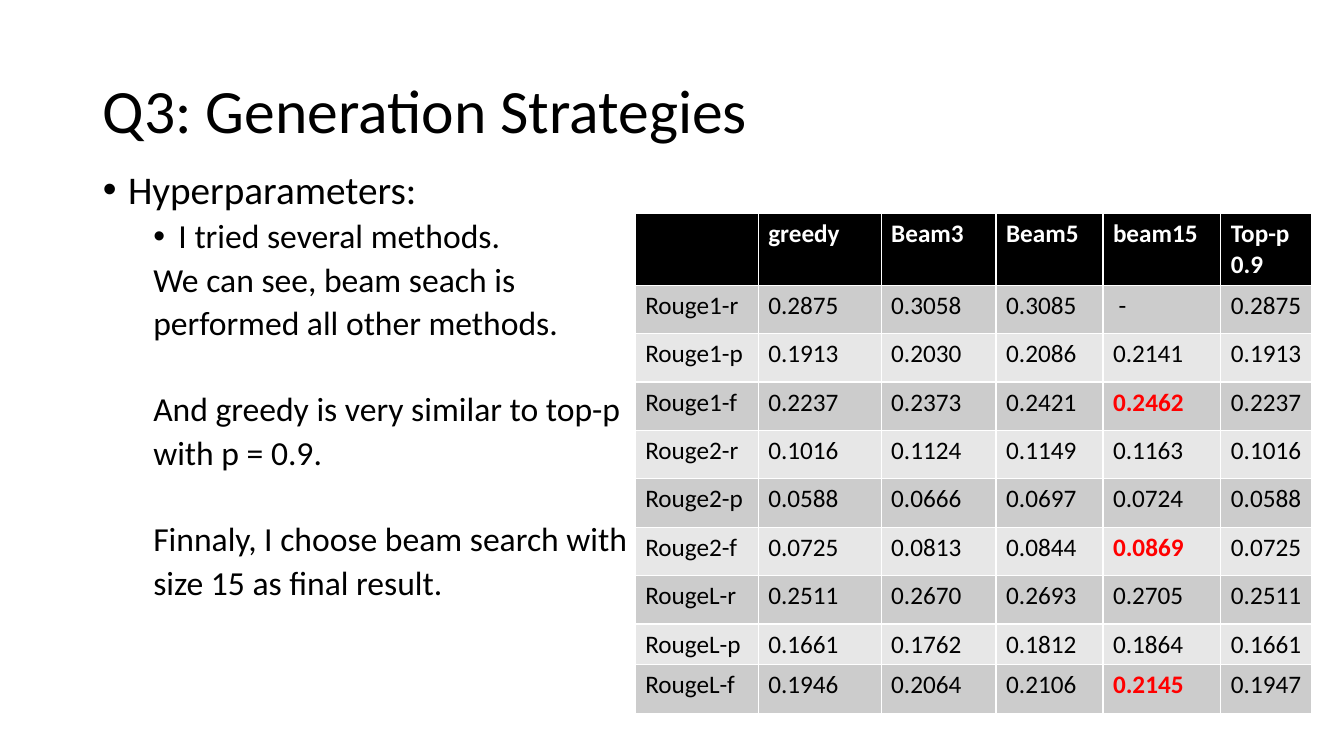
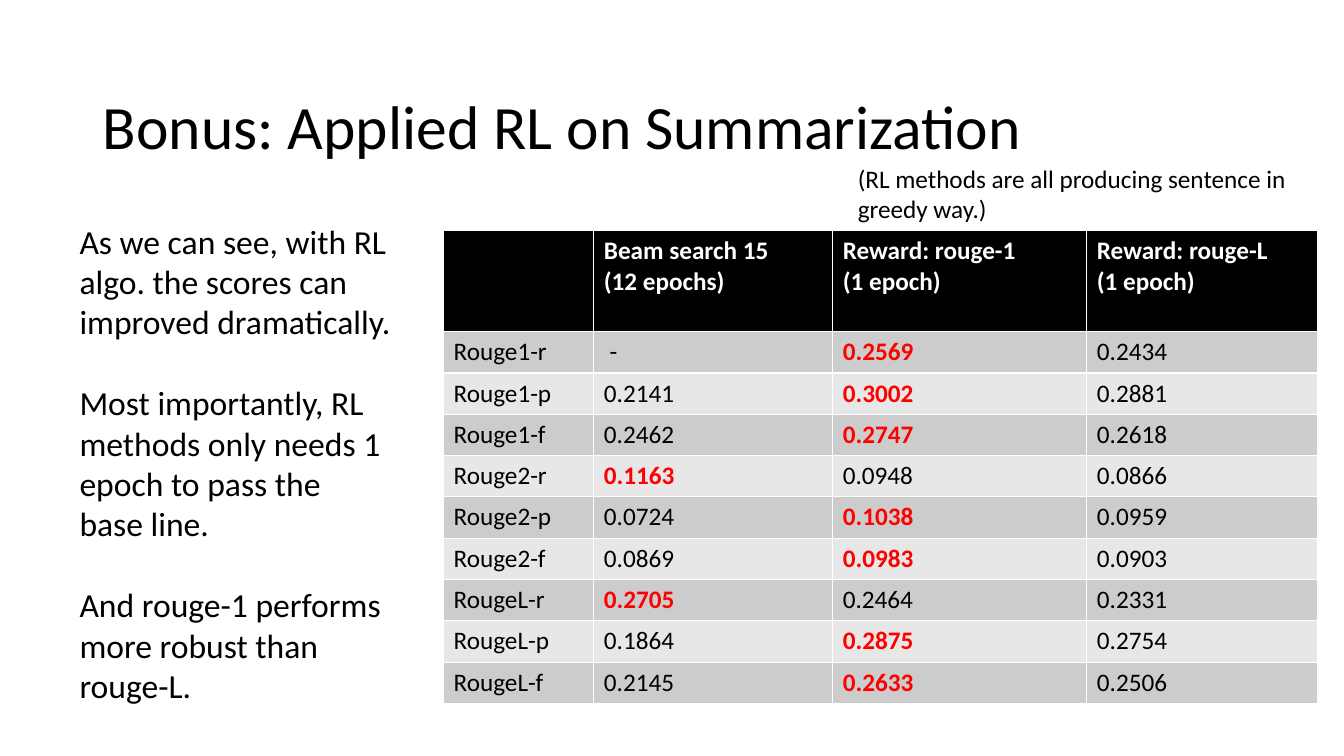
"""Build two slides comparing summarization scores across generation strategies."""
import lxml.etree
import pptx
import pptx.dml.color
import pptx.enum.text
import pptx.oxml.ns
import pptx.util

Inches = pptx.util.Inches
Pt = pptx.util.Pt
RGBColor = pptx.dml.color.RGBColor

BLACK = RGBColor(0x00, 0x00, 0x00)
WHITE = RGBColor(0xFF, 0xFF, 0xFF)
RED = RGBColor(0xFF, 0x00, 0x00)
BAND_FILLS = (RGBColor(0xCC, 0xCC, 0xCC), RGBColor(0xE7, 0xE7, 0xE7))
FONT = "Calibri"

METRICS = [f"Rouge{kind}-{measure}" for kind in "12L" for measure in "rpf"]
GREEDY = ["0.2875", "0.1913", "0.2237", "0.1016", "0.0588", "0.0725", "0.2511", "0.1661", "0.1946"]
BEAM_3 = ["0.3058", "0.2030", "0.2373", "0.1124", "0.0666", "0.0813", "0.2670", "0.1762", "0.2064"]
BEAM_5 = ["0.3085", "0.2086", "0.2421", "0.1149", "0.0697", "0.0844", "0.2693", "0.1812", "0.2106"]
BEAM_15 = [" -", "0.2141", "0.2462", "0.1163", "0.0724", "0.0869", "0.2705", "0.1864", "0.2145"]
TOP_P = ["0.2875", "0.1913", "0.2237", "0.1016", "0.0588", "0.0725", "0.2511", "0.1661", "0.1947"]
REWARD_1 = ["0.2569", "0.3002", "0.2747", "0.0948", "0.1038", "0.0983", "0.2464", "0.2875", "0.2633"]
REWARD_L = ["0.2434", "0.2881", "0.2618", "0.0866", "0.0959", "0.0903", "0.2331", "0.2754", "0.2506"]

STRATEGIES = {
    "": METRICS,
    "greedy": GREEDY,
    "Beam3": BEAM_3,
    "Beam5": BEAM_5,
    "beam15": BEAM_15,
    "Top-p 0.9": TOP_P,
}
REWARDS = {
    "": METRICS,
    "Beam search 15\n(12 epochs)": BEAM_15,
    "Reward: rouge-1\n(1 epoch)": REWARD_1,
    "Reward: rouge-L\n(1 epoch)": REWARD_L,
}

HEADING = dict(size=28, before=10, left=0.25, hanging=0.25, bullet=True)
BULLET = dict(size=24, before=5, left=0.75, hanging=0.25, bullet=True, level=1)
LINE = dict(size=24, before=5, left=0.5, bullet=False, level=1)
NEW_THOUGHT = LINE | dict(before=36)
HYPERPARAMETERS = [
    ("Hyperparameters:", HEADING),
    ("I tried several methods.", BULLET),
    ("We can see, beam seach is", LINE),
    ("performed all other methods.", LINE),
    ("And greedy is very similar to top-p", NEW_THOUGHT),
    ("with p = 0.9.", LINE),
    ("Finnaly, I choose beam search with", NEW_THOUGHT),
    ("size 15 as final result.", LINE),
]
FINDINGS = [
    ("As we can see, with RL algo. the scores can improved dramatically.", {}),
    ("Most importantly, RL methods only needs 1 epoch to pass the base line.", dict(before=29)),
    ("And rouge-1 performs more robust than rouge-L.", dict(before=29)),
]
GREEDY_NOTE = "(RL methods are all producing sentence in greedy way.)"


def write(paragraph, text, size=18, color=BLACK, bold=False, before=0, spacing=None,
          level=0, left=None, hanging=0, bullet=None):
    """Fill one paragraph with formatted text."""
    run = paragraph.add_run()
    run.text = text
    run.font.name, run.font.size = FONT, Pt(size)
    run.font.bold, run.font.color.rgb = bold, color
    paragraph.alignment = pptx.enum.text.PP_ALIGN.LEFT
    paragraph.level = level
    paragraph.space_before = Pt(before)
    if spacing:
        paragraph.line_spacing = spacing
    properties = paragraph._p.get_or_add_pPr()
    if left is not None:
        properties.set("marL", str(Inches(left)))
        properties.set("indent", str(-Inches(hanging)))
    qn = pptx.oxml.ns.qn
    if bullet:
        lxml.etree.SubElement(properties, qn("a:buFont")).set("typeface", "Arial")
        lxml.etree.SubElement(properties, qn("a:buChar")).set("char", "•")
    elif bullet is False:
        lxml.etree.SubElement(properties, qn("a:buNone"))


def write_all(frame, entries, **shared):
    """Write (text, format) entries as consecutive paragraphs."""
    frame.word_wrap = True
    for index, (text, style) in enumerate(entries):
        paragraph = frame.add_paragraph() if index else frame.paragraphs[0]
        write(paragraph, text, **(shared | style))


def place(shape, left, top, width, height):
    """Position a placeholder."""
    shape.left, shape.top = Inches(left), Inches(top)
    shape.width, shape.height = Inches(width), Inches(height)


def add_slide(deck, layout, title, title_top):
    """Add a slide with the shared title style."""
    slide = deck.slides.add_slide(deck.slide_layouts[layout])
    place(slide.shapes.title, 0.92, title_top, 11.5, 1.45)
    frame = slide.shapes.title.text_frame
    frame.vertical_anchor = pptx.enum.text.MSO_ANCHOR.MIDDLE
    frame.auto_size = pptx.enum.text.MSO_AUTO_SIZE.NONE
    write_all(frame, [(title, {})], size=44, spacing=0.9)
    return slide


def add_text(slide, box, entries, size):
    """Add a wrapping text box."""
    frame = slide.shapes.add_textbox(*map(Inches, box)).text_frame
    write_all(frame, entries, size=size)


def add_scores(slide, left, top, columns, widths, heights, marked):
    """Add a score table, marking the best score of each row whose measure is in marked."""
    table = slide.shapes.add_table(
        len(heights), len(widths), Inches(left), Inches(top),
        Inches(sum(widths)), Inches(sum(heights))).table
    for column, width in zip(table.columns, widths):
        column.width = Inches(width)
    for row, height in zip(table.rows, heights):
        row.height = Inches(height)
    rows = [list(columns), *zip(*columns.values())]
    for row_index, texts in enumerate(rows):
        header = row_index == 0
        best = max(texts[1:]) if texts[0][-1:] in marked else None
        for column_index, text in enumerate(texts):
            cell = table.cell(row_index, column_index)
            cell.fill.solid()
            cell.fill.fore_color.rgb = BLACK if header else BAND_FILLS[(row_index - 1) % 2]
            is_best = not header and text == best
            color = WHITE if header else RED if is_best else BLACK
            write_all(cell.text_frame, [(line, {}) for line in text.split("\n")],
                      color=color, bold=header or is_best)


def main():
    """Build and save the deck."""
    deck = pptx.Presentation()
    deck.slide_width, deck.slide_height = Inches(13.33), Inches(7.5)

    strategies = add_slide(deck, 1, "Q3: Generation Strategies", 0.4)
    body = strategies.placeholders[1]
    place(body, 0.92, 1.64, 11.5, 4.76)
    body.text_frame.auto_size = pptx.enum.text.MSO_AUTO_SIZE.NONE
    write_all(body.text_frame, HYPERPARAMETERS, spacing=0.9)
    add_scores(strategies, 6.3, 2.12, STRATEGIES, [1.22, 1.22, 1.14, 1.06, 1.17, 0.9],
               [0.7] + [0.48] * 7 + [0.4, 0.48], marked=["f"])

    bonus = add_slide(deck, 5, "Bonus: Applied RL on Summarization", 0.56)
    add_scores(bonus, 4.4, 2.29, REWARDS, [1.49, 2.37, 2.52, 2.29],
               [1] + [0.41] * 9, marked=["r", "p", "f"])
    add_text(bonus, (0.69, 2.14, 3.28, 4.95), FINDINGS, size=24)
    add_text(bonus, (8.41, 1.57, 4.64, 0.71), [(GREEDY_NOTE, {})], size=18)

    deck.save("out.pptx")


if __name__ == "__main__":
    main()
